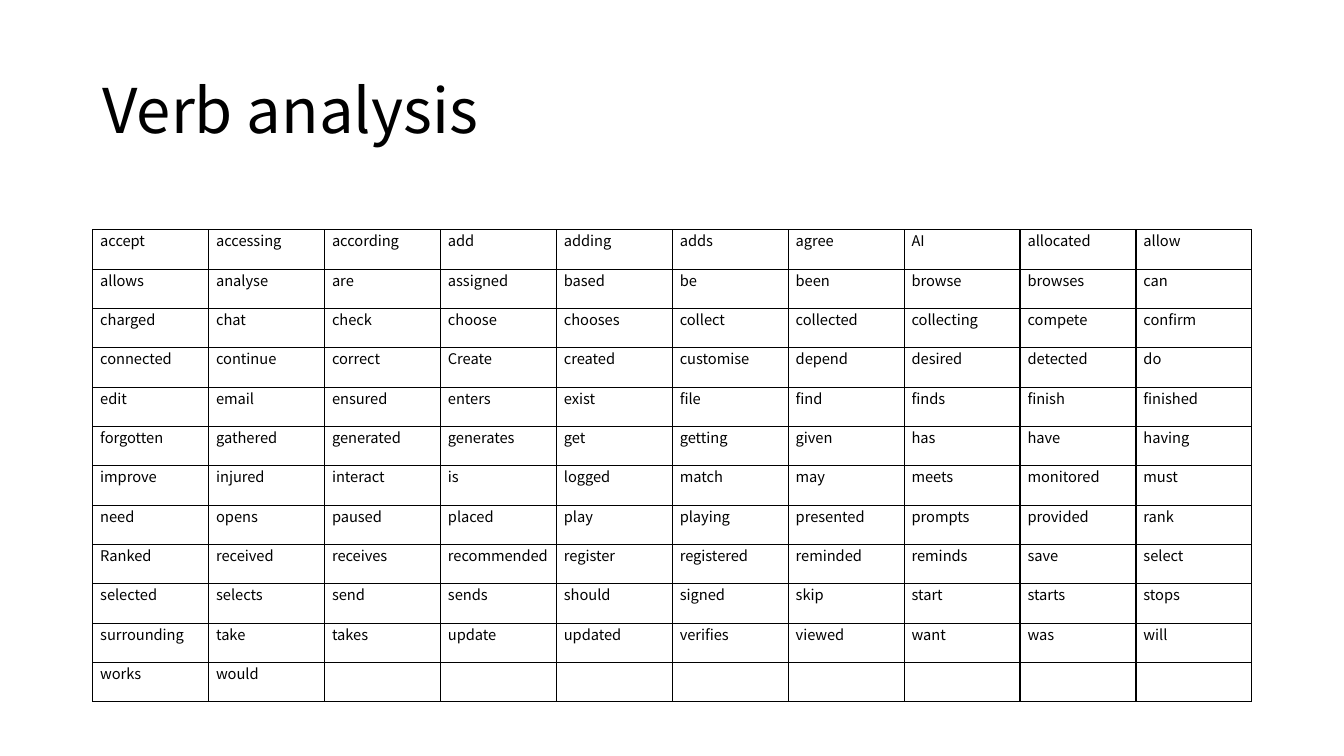
from lxml import etree
from pptx import Presentation
from pptx.dml.color import RGBColor
from pptx.enum.text import MSO_ANCHOR, PP_ALIGN
from pptx.oxml.ns import qn
from pptx.util import Pt

MIDDLE, TOP = MSO_ANCHOR.MIDDLE, MSO_ANCHOR.TOP
LEFT, JUSTIFY = PP_ALIGN.LEFT, PP_ALIGN.JUSTIFY
FONT = "Noto Sans CJK SC"
BLACK = "000000"
MARGIN_LEFT, CONTENT_WIDTH = 66.2, 828
ROW_HEIGHT = 28.1
COLUMN_COUNT = 10
BORDER_SIDES = ("a:lnL", "a:lnR", "a:lnT", "a:lnB")
TITLE_FRAME = {"word_wrap": True, "vertical_anchor": MIDDLE}
TITLE_PARAGRAPH = {"alignment": LEFT, "line_spacing": 0.9}
VERB_CELL = {
    "margin_left": Pt(5.4),
    "margin_right": Pt(5.4),
    "margin_top": Pt(0),
    "margin_bottom": Pt(0),
    "vertical_anchor": TOP,
}
VERB_PARAGRAPH = {"alignment": JUSTIFY}

VERBS = """
accept accessing according add adding adds agree AI allocated allow
allows analyse are assigned based be been browse browses can
charged chat check choose chooses collect collected collecting compete confirm
connected continue correct Create created customise depend desired detected do
edit email ensured enters exist file find finds finish finished
forgotten gathered generated generates get getting given has have having
improve injured interact is logged match may meets monitored must
need opens paused placed play playing presented prompts provided rank
Ranked received receives recommended register registered reminded reminds save select
selected selects send sends should signed skip start starts stops
surrounding take takes update updated verifies viewed want was will
works would
""".split()


def apply_format(target, values):
    """Set every attribute named in values on target."""
    for attribute, value in values.items():
        setattr(target, attribute, value)


def write_text(paragraph, text, size, color, paragraph_format):
    """Write one formatted run into a paragraph."""
    apply_format(paragraph, paragraph_format)
    run = paragraph.add_run()
    run.text = text
    apply_format(run.font, {"name": FONT, "size": Pt(size), "bold": False})
    run.font.color.rgb = RGBColor.from_string(color)


def add_borders(cell, color, width):
    """Draw a solid line on all four sides of a cell."""
    properties = cell._tc.get_or_add_tcPr()
    for side in BORDER_SIDES:
        line = etree.SubElement(properties, qn(side), w=str(Pt(width)))
        fill = etree.SubElement(line, qn("a:solidFill"))
        etree.SubElement(fill, qn("a:srgbClr"), val=color)


def add_title(slide, text):
    """Add the slide heading."""
    heading = slide.shapes.add_textbox(
        Pt(MARGIN_LEFT), Pt(28.8), Pt(CONTENT_WIDTH), Pt(104.4)
    )
    apply_format(heading.text_frame, TITLE_FRAME)
    write_text(heading.text_frame.paragraphs[0], text, 44, BLACK, TITLE_PARAGRAPH)


def add_verb_table(slide, verbs):
    """Add the bordered grid of verbs, filled row by row."""
    row_count = -(-len(verbs) // COLUMN_COUNT)
    verb_table = slide.shapes.add_table(
        row_count, COLUMN_COUNT,
        Pt(MARGIN_LEFT), Pt(164.2), Pt(CONTENT_WIDTH), Pt(ROW_HEIGHT * row_count),
    ).table
    apply_format(verb_table, {"first_row": False, "horz_banding": False})
    for row in verb_table.rows:
        row.height = Pt(ROW_HEIGHT)
    for cell in verb_table.iter_cells():
        apply_format(cell, VERB_CELL)
        add_borders(cell, BLACK, 1)
        cell.fill.background()
    for cell, verb in zip(verb_table.iter_cells(), verbs):
        write_text(cell.text_frame.paragraphs[0], verb, 10.5, BLACK, VERB_PARAGRAPH)


def main():
    """Build and save the verb analysis slide."""
    deck = Presentation()
    apply_format(deck, {"slide_width": Pt(960), "slide_height": Pt(540)})
    slide = deck.slides.add_slide(deck.slide_layouts[6])
    add_title(slide, "Verb analysis")
    add_verb_table(slide, VERBS)
    deck.save("out.pptx")


main()
